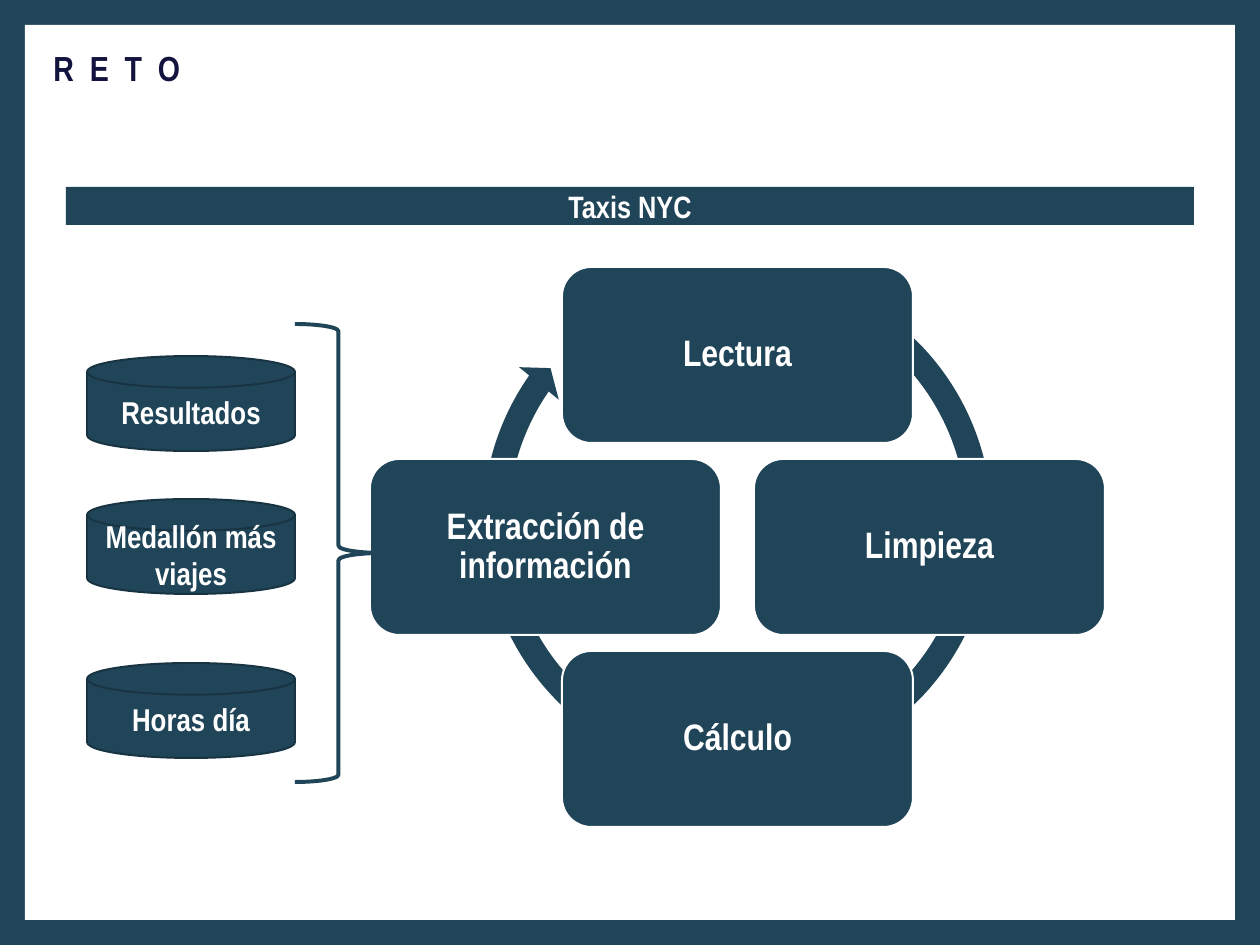
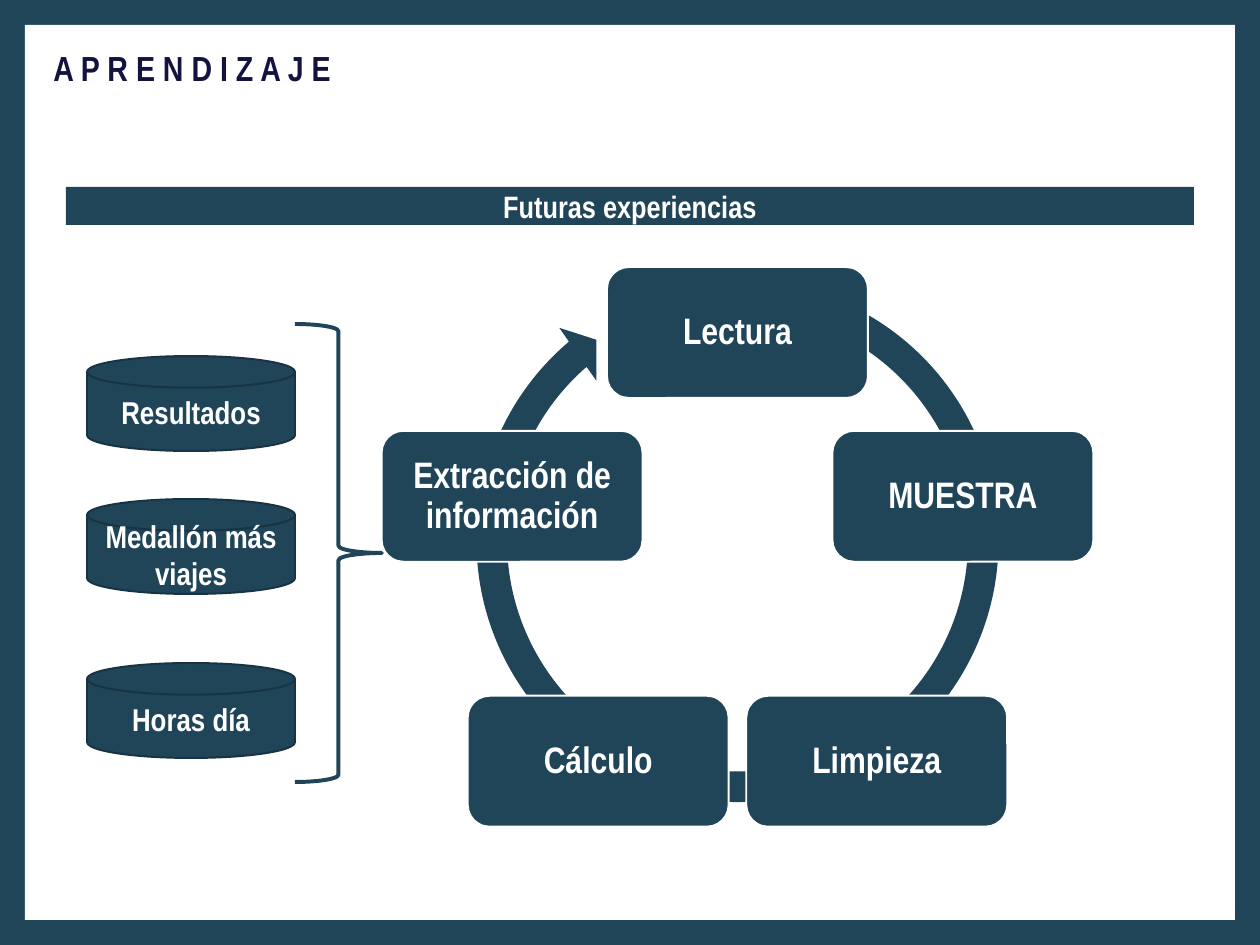
import math

from pptx import Presentation
from pptx import util as u
from pptx.dml import color as dml
from pptx.enum import shapes as es
from pptx.enum import text as et

PX = u.Inches(1) / 94.6
FONT = "Arial Narrow"
COLORS = {"petrol": "204559", "edge": "183342", "white": "FFFFFF", "title": "13133F"}
KIND = es.MSO_SHAPE

PAGE = (1260, 945)
PANEL = (25, 25, 1210, 895)
TITLE = (44, 42, 761, 52)
BAND = (66, 187, 1128, 38)
CYCLE = (370, 267, 735, 560)
OUTPUTS = (87, 324, 295, 458)

OUTPUT_DISKS = [("Resultados", 32), ("Medallón más viajes", 175), ("Horas día", 339)]

SLIDES = [
    {
        "title": "R E T O",
        "tracking": 300,
        "band": "Taxis NYC",
        "steps": ["Lectura", "Limpieza", "Cálculo", "Extracción de información"],
        "card": (351, 176),
        "radius": 192,
        "arrow": {"rise": 13, "size": 535, "width": 4.7, "head": 4.8,
                  "angles": (4.55, 214.81, 299.87)},
    },
    {
        "title": "A P R E N D I Z A J E",
        "tracking": 0,
        "band": "Futuras experiencias",
        "steps": ["Lectura", "MUESTRA", "Limpieza", "Cálculo", "Extracción de información"],
        "card": (261, 131),
        "radius": 237,
        "arrow": {"rise": 4, "size": 556, "width": 5.5, "head": 5.8,
                  "angles": (5.51, 229.46, 289.85)},
    },
]


def px(length):
    return u.Emu(round(length * PX))


def rgb(name):
    return dml.RGBColor.from_string(COLORS[name])


def place(part, box):
    part.left, part.top, part.width, part.height = map(px, box)


def add_part(shapes, kind, box, fill="petrol", line=None, weight=1.5):
    part = shapes.add_shape(kind, *map(px, box))
    part.shadow.inherit = False
    if fill:
        part.fill.solid()
        part.fill.fore_color.rgb = rgb(fill)
    else:
        part.fill.background()
    if line:
        part.line.color.rgb = rgb(line)
        part.line.width = u.Pt(weight)
    else:
        part.line.fill.background()
    return part


def write(part, words, size, color="white", align=et.PP_ALIGN.CENTER,
          anchor=et.MSO_ANCHOR.MIDDLE, inset=None, spacing=None):
    frame = part.text_frame
    frame.word_wrap = True
    frame.auto_size = et.MSO_AUTO_SIZE.NONE
    frame.vertical_anchor = anchor
    if inset is not None:
        frame.margin_left = frame.margin_right = px(inset)
        frame.margin_top = frame.margin_bottom = px(inset)
    paragraph = frame.paragraphs[0]
    paragraph.alignment = align
    if spacing:
        paragraph.line_spacing = spacing
    run = paragraph.add_run()
    run.text = words
    run.font.name = FONT
    run.font.size = u.Pt(size)
    run.font.bold = True
    run.font.color.rgb = rgb(color)
    return run


def set_up_frame(prs, layout, slide):
    background = prs.slide_master.background.fill
    background.solid()
    background.fore_color.rgb = rgb("petrol")
    panel = add_part(slide.shapes, KIND.RECTANGLE, PANEL, "white")
    layout.shapes.element.insert(2, panel.element)
    place(layout.placeholders[0], TITLE)


def add_heading(slide, words, tracking, band_words):
    title = slide.shapes.title
    place(title, TITLE)
    run = write(title, words, 26.5, "title", et.PP_ALIGN.LEFT, et.MSO_ANCHOR.TOP)
    if tracking:
        run.font._element.set("spc", str(tracking))
    band = add_part(slide.shapes, KIND.RECTANGLE, BAND)
    write(band, band_words, 23.5, inset=0)


def add_cycle(slide, box, steps, card, radius, arrow):
    left, top, width, _ = box
    card_w, card_h = card
    center_x = left + width / 2
    center_y = top + card_h / 2 + radius
    cycle = slide.shapes.add_group_shape().shapes

    size = arrow["size"]
    ring = add_part(cycle, KIND.CIRCULAR_ARROW,
                    (center_x - size / 2, top - arrow["rise"], size, size))
    angles = [degrees * 0.6 for degrees in arrow["angles"]]
    values = [arrow["width"] / 100, *angles, arrow["head"] / 100]
    for index, value in enumerate(values):
        ring.adjustments[index] = value

    for index, step in enumerate(steps):
        turn = 2 * math.pi * index / len(steps)
        x = center_x + radius * math.sin(turn) - card_w / 2
        y = center_y - radius * math.cos(turn) - card_h / 2
        step_card = add_part(cycle, KIND.ROUNDED_RECTANGLE, (x, y, card_w, card_h),
                             line="white")
        write(step_card, step, 28, inset=18, spacing=0.9)


def add_outputs(slide, box):
    left, top, width, height = box
    disk_w, disk_h, brace_w = 208, 95, 87
    for words, drop in OUTPUT_DISKS:
        disk = add_part(slide.shapes, KIND.FLOWCHART_MAGNETIC_DISK,
                        (left, top + drop, disk_w, disk_h), line="edge")
        write(disk, words, 24)
    add_part(slide.shapes, KIND.RIGHT_BRACE,
             (left + width - brace_w, top, brace_w, height), None, "petrol", 3)


def main():
    prs = Presentation()
    prs.slide_width, prs.slide_height = map(px, PAGE)
    layout = prs.slide_layouts[5]
    for number, content in enumerate(SLIDES):
        slide = prs.slides.add_slide(layout)
        if number == 0:
            set_up_frame(prs, layout, slide)
        add_heading(slide, content["title"], content["tracking"], content["band"])
        add_cycle(slide, CYCLE, content["steps"], content["card"],
                  content["radius"], content["arrow"])
        add_outputs(slide, OUTPUTS)
    prs.save("out.pptx")


if __name__ == "__main__":
    main()
